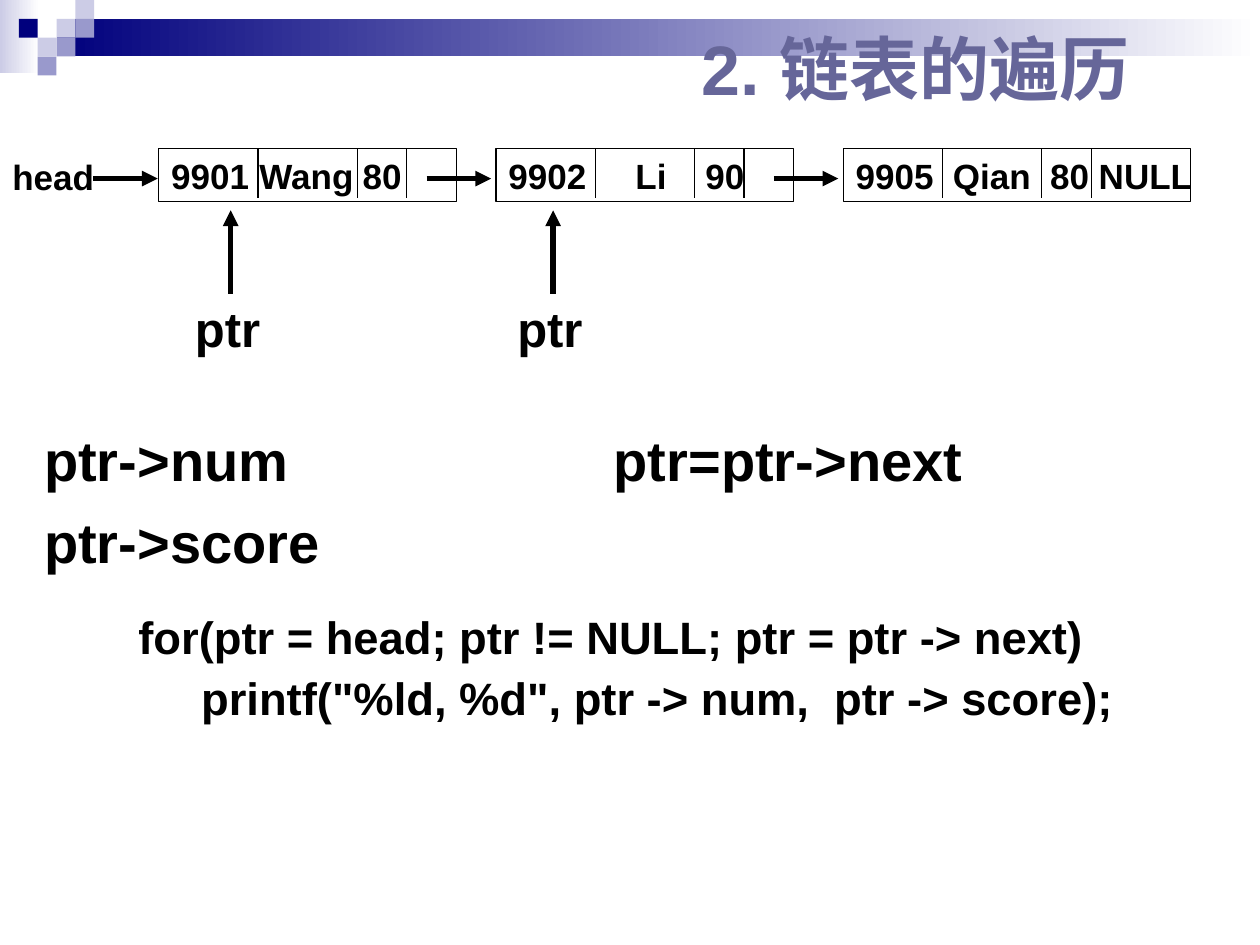
from lxml.etree import SubElement
from pptx import Presentation
from pptx.dml.color import RGBColor
from pptx.enum.shapes import MSO_CONNECTOR, MSO_SHAPE
from pptx.enum.text import MSO_ANCHOR, PP_ALIGN
from pptx.oxml.ns import qn
from pptx.util import Cm, Pt

# All lengths are centimetres.
WIDTH, HEIGHT = 25.4, 19.05
TILE = 0.38
NODE_TOP, NODE_HEIGHT = 3, 1.07
LINK_Y, LINK_LENGTH = 3.6, 1.3
FIELD_EDGES = (2, 4, 5)
BLACK, NAVY, LILAC, VIOLET, WHITE = "000000", "00007D", "CCCCE6", "9999CC", "FFFFFF"

# left, width, fields, tab stops of the fields after the first
NODES = [
    (3.2, 6, ("9901", "Wang", "80"), (1.78, 3.86)),
    (10, 6, ("9902", "Li", "90"), (2.56, 3.97)),
    (17, 7, ("9905", "Qian", "80", "NULL"), (1.96, 3.92, 4.9)),
]
LINK_STARTS = (1.88, 8.6, 15.6)
POINTER_XS = (4.65, 11.15)
TILES = [(3, 1, LILAC), (4, 0, LILAC), (4, 1, VIOLET), (2, 2, LILAC),
         (1, 1, NAVY), (3, 2, VIOLET), (2, 3, VIOLET)]


def color(hex_code):
    return RGBColor.from_string(hex_code)


def add_rect(slide, left, top, width, height):
    """Add a rectangle with neither fill, outline nor shadow."""
    rect = slide.shapes.add_shape(
        MSO_SHAPE.RECTANGLE, Cm(left), Cm(top), Cm(width), Cm(height))
    rect.shadow.inherit = False
    rect.fill.background()
    rect.line.fill.background()
    return rect


def add_fade(slide, left, top, width, height, start):
    """Add a band that fades to white from left to right."""
    fill = add_rect(slide, left, top, width, height).fill
    fill.gradient()
    fill.gradient_angle = 0
    for stop, hex_code in zip(fill.gradient_stops, (start, WHITE)):
        stop.color.rgb = color(hex_code)


def add_tile(slide, column, row, hex_code):
    fill = add_rect(slide, column * TILE, row * TILE, TILE, TILE).fill
    fill.solid()
    fill.fore_color.rgb = color(hex_code)


def add_line(slide, start, end, weight=0.75, arrow=False):
    line = slide.shapes.add_connector(
        MSO_CONNECTOR.STRAIGHT, *(Cm(value) for value in (*start, *end)))
    line.line.color.rgb = color(BLACK)
    line.line.width = Pt(weight)
    properties = line.line._get_or_add_ln()
    if arrow:
        SubElement(properties, qn("a:tailEnd"), type="triangle")
    SubElement(line._element.spPr, qn("a:effectLst"))


def write(shape, *lines, size, hex_code=BLACK, align=PP_ALIGN.LEFT,
          anchor=MSO_ANCHOR.TOP, wrap=True, gap=0, spacing=None, stops=()):
    """Fill a shape with bold paragraphs; gap is the space between them."""
    frame = shape.text_frame
    frame.word_wrap = wrap
    frame.vertical_anchor = anchor
    for index, line in enumerate(lines):
        paragraph = frame.add_paragraph() if index else frame.paragraphs[0]
        if stops:
            tabs = SubElement(paragraph._p.get_or_add_pPr(), qn("a:tabLst"))
            for stop in stops:
                SubElement(tabs, qn("a:tab"), pos=str(Cm(stop)), algn="l")
        paragraph.alignment = align
        paragraph.space_before = Pt(gap if index else 0)
        if spacing:
            paragraph.line_spacing = spacing
        run = paragraph.add_run()
        run.text = line
        run.font.name = "Arial"
        run.font.size = Pt(size)
        run.font.bold = True
        run.font.color.rgb = color(hex_code)


def add_text(slide, left, top, width, height, *lines, **style):
    box = slide.shapes.add_textbox(Cm(left), Cm(top), Cm(width), Cm(height))
    write(box, *lines, **style)


def add_node(slide, left, width, fields, stops):
    node = add_rect(slide, left, NODE_TOP, width, NODE_HEIGHT)
    node.line.color.rgb = color(BLACK)
    node.line.width = Pt(0.75)
    write(node, "\t".join(fields), size=20, anchor=MSO_ANCHOR.MIDDLE,
          wrap=False, stops=stops)
    for edge in FIELD_EDGES:
        add_line(slide, (left + edge, NODE_TOP), (left + edge, NODE_TOP + 1))


def add_pointer(slide, x):
    add_line(slide, (x, 5.92), (x, 4.24), weight=3, arrow=True)
    add_text(slide, x - 0.97, 5.9, 1.83, 1.45, "ptr", size=28, wrap=False)


def add_banner(slide):
    add_fade(slide, 0, 0, 0.79, 1.47, LILAC)
    add_fade(slide, 3 * TILE, TILE, WIDTH - 3 * TILE, 2 * TILE, NAVY)
    for tile in TILES:
        add_tile(slide, *tile)


def add_linked_list(slide):
    add_text(slide, 0, 3.02, 2.16, 1.12, "head", size=20, wrap=False)
    for node in NODES:
        add_node(slide, *node)
    for start in LINK_STARTS:
        add_line(slide, (start, LINK_Y), (start + LINK_LENGTH, LINK_Y),
                 weight=3, arrow=True)
    for x in POINTER_XS:
        add_pointer(slide, x)


def main():
    deck = Presentation()
    deck.slide_width, deck.slide_height = Cm(WIDTH), Cm(HEIGHT)
    slide = deck.slides.add_slide(deck.slide_layouts[6])
    add_banner(slide)
    add_text(slide, 13.9, 0, 10.36, 2.74, "2. 链表的遍历", size=40,
             hex_code="666699", anchor=MSO_ANCHOR.MIDDLE)
    add_linked_list(slide)
    add_text(slide, 0.64, 8.46, 6.35, 3.38, "ptr->num", "ptr->score",
             size=32, gap=8)
    add_text(slide, 9.96, 8.46, 11.86, 3.38, "ptr=ptr->next",
             size=32, align=PP_ALIGN.CENTER)
    add_text(slide, 2.54, 12.27, 21.59, 3.38,
             "for(ptr = head; ptr != NULL; ptr = ptr -> next)",
             '     printf("%ld, %d", ptr -> num,  ptr -> score);',
             size=25.9, gap=7, spacing=0.9)
    deck.save("out.pptx")


if __name__ == "__main__":
    main()
